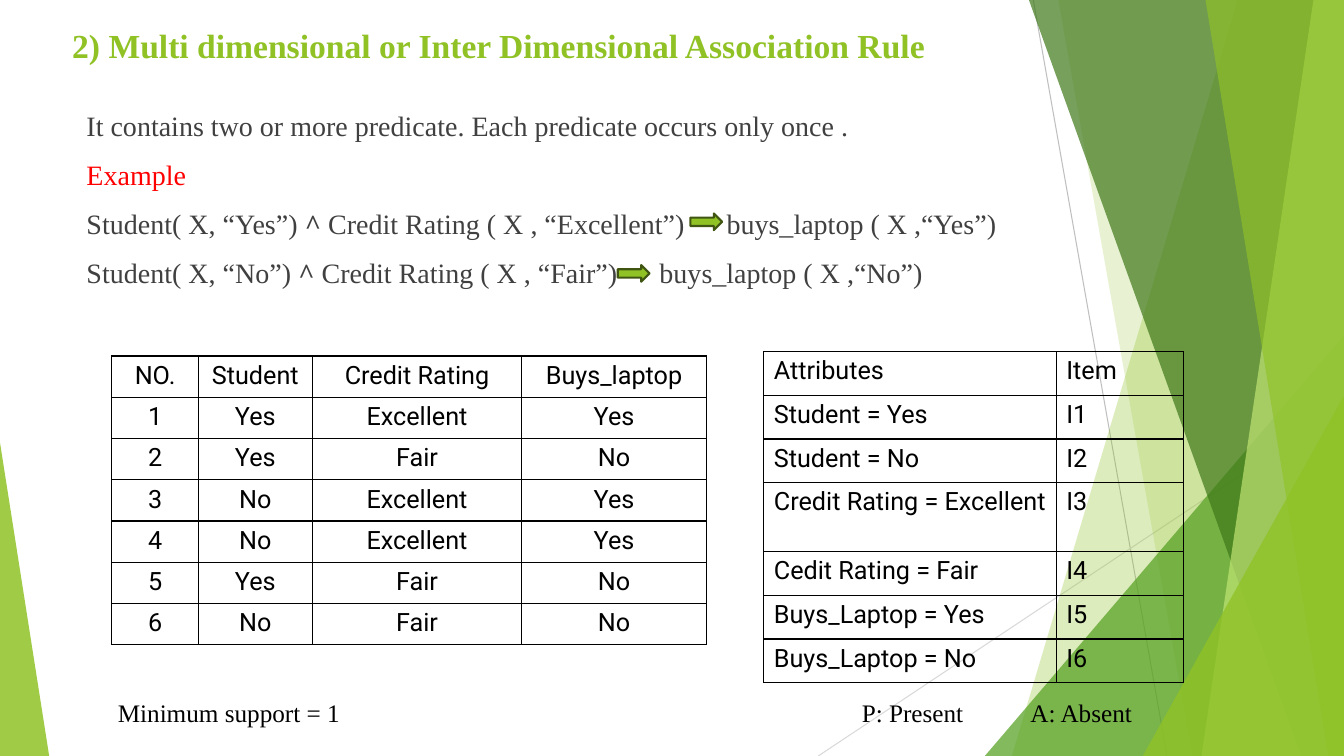
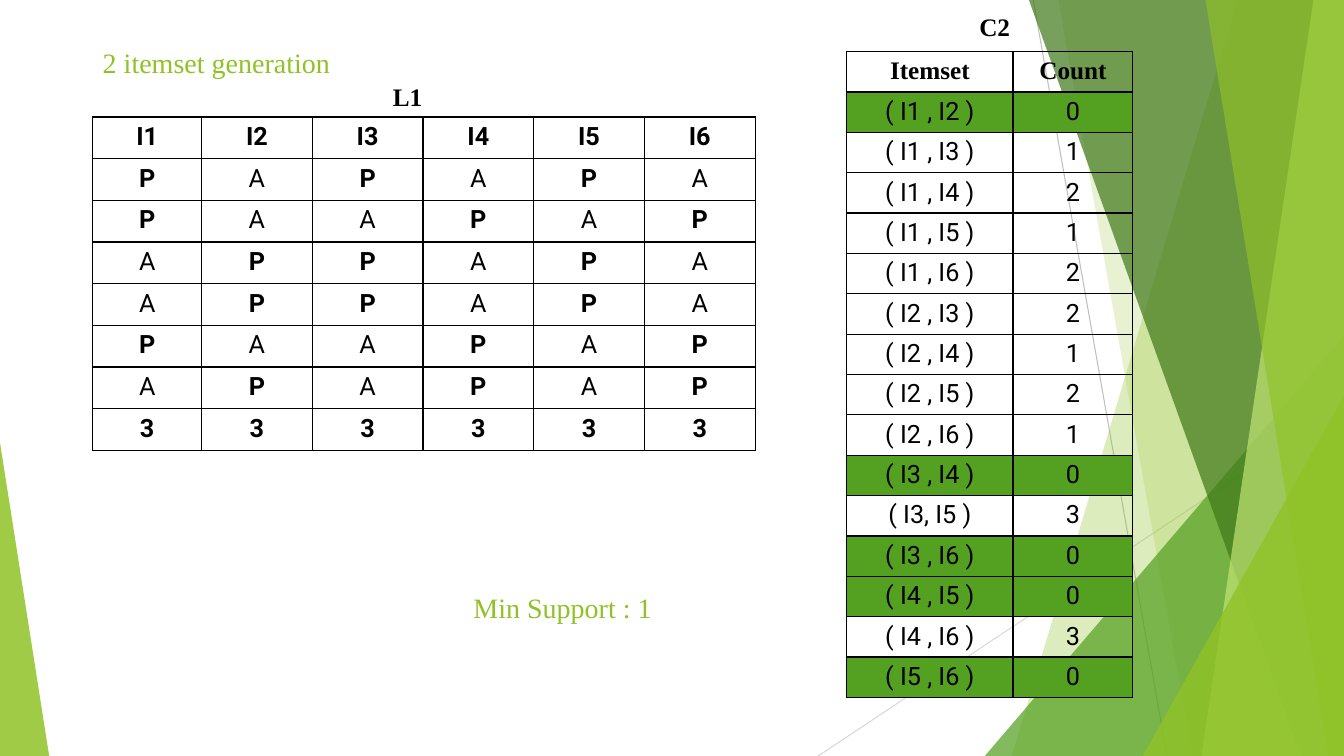
from lxml import etree
from pptx import Presentation
from pptx import util as u
from pptx.dml.color import RGBColor
from pptx.enum import shapes, text
from pptx.oxml import ns

Cm = u.Cm
WIDTH, HEIGHT = 33.87, 19.05
SERIF, SANS = "Times New Roman", "Roboto"
COLORS = {
    "black": "000000", "body": "404040", "red": "FF0000",
    "lime": "90C226", "green": "54A021", "forest": "3F7819",
    "pale": "C0E474", "olive": "3F5511",
    "gray": "BFBFBF", "silver": "D9D9D9",
}


def rgb(color):
    return RGBColor.from_string(COLORS[color])


def child(parent, tag, **attrs):
    return etree.SubElement(parent, ns.qn(tag), attrs)


class Deck:
    def __init__(self):
        self.prs = Presentation()
        self.prs.slide_width, self.prs.slide_height = Cm(WIDTH), Cm(HEIGHT)
        self.s = None

    def slide(self):
        """Start a slide with the green facets behind its content."""
        self.s = self.prs.slides.add_slide(self.prs.slide_layouts[6])
        self.line(26.04, 0, 29.41, HEIGHT, "gray")
        self.line(WIDTH, 10.24, 20.62, HEIGHT, "silver")
        self.band(31.19, 25.5, "lime", 30)
        self.band(26.67, 30.05, "lime", 20)
        self.triangle(24.82, 8.46, WIDTH, 1, "green", 72)
        self.band(25.93, 32.79, "forest", 70)
        self.band(33.1, 30.28, "pale", 70)
        self.band(30.38, 33.48, "lime", 65)
        self.triangle(28.8, 9.98, WIDTH, 1, "lime", 80)
        self.triangle(0, 11.15, 1.24, 0, "lime", 85)

    def line(self, x1, y1, x2, y2, color):
        c = self.s.shapes.add_connector(
            shapes.MSO_CONNECTOR.STRAIGHT, Cm(x1), Cm(y1), Cm(x2), Cm(y2))
        c.line.color.rgb = rgb(color)
        c.line.width = u.Pt(0.75)
        child(c._element.spPr, "a:effectLst")

    def paint(self, sp, color, opacity):
        sp.shadow.inherit = False
        sp.fill.solid()
        sp.fill.fore_color.rgb = rgb(color)
        sp.line.fill.background()
        fill = sp._element.spPr.find(ns.qn("a:solidFill"))
        child(fill[0], "a:alpha", val=str(opacity * 1000))

    def band(self, top_x, bottom_x, color, opacity):
        """Fill from a slanted left edge to the right side of the slide."""
        builder = self.s.shapes.build_freeform(Cm(top_x), 0)
        corners = [(WIDTH, 0), (WIDTH, HEIGHT), (bottom_x, HEIGHT)]
        builder.add_line_segments([(Cm(x), Cm(y)) for x, y in corners])
        self.paint(builder.convert_to_shape(), color, opacity)

    def triangle(self, left, top, right, apex, color, opacity):
        """Stand a triangle on the bottom edge of the slide."""
        sp = self.s.shapes.add_shape(
            shapes.MSO_SHAPE.ISOSCELES_TRIANGLE,
            Cm(left), Cm(top), Cm(right - left), Cm(HEIGHT - top))
        sp.adjustments[0] = apex
        self.paint(sp, color, opacity)

    def arrow(self, x, y):
        sp = self.s.shapes.add_shape(
            shapes.MSO_SHAPE.RIGHT_ARROW, Cm(x), Cm(y), Cm(0.8), Cm(0.42))
        sp.shadow.inherit = False
        sp.fill.solid()
        sp.fill.fore_color.rgb = rgb("lime")
        sp.line.color.rgb = rgb("olive")
        sp.line.width = u.Pt(1.5)

    def run(self, p, words, size=18, color="black", bold=False, name=SERIF):
        r = p.add_run()
        r.text = words
        style = {"name": name, "size": u.Pt(size), "bold": bold}
        for key, value in style.items():
            setattr(r.font, key, value)
        r.font.color.rgb = rgb(color)

    def text(self, x, y, w, h, paragraphs, tabs=(), gap=0, **style):
        """Write paragraphs, each a list of (words, style changes)."""
        tf = self.s.shapes.add_textbox(Cm(x), Cm(y), Cm(w), Cm(h)).text_frame
        tf.word_wrap = True
        for i, runs in enumerate(paragraphs):
            p = tf.paragraphs[0] if i == 0 else tf.add_paragraph()
            if i < len(tabs) and tabs[i]:
                stops = child(p._p.get_or_add_pPr(), "a:tabLst")
                for pos in tabs[i]:
                    child(stops, "a:tab", pos=str(Cm(pos)), algn="l")
            if i:
                p.space_before = u.Pt(gap)
            for words, changes in runs:
                self.run(p, words, **{**style, **changes})

    def label(self, x, y, w, h, words, **style):
        self.text(x, y, w, h, [[(words, {})]], **style)

    def title(self, x, y, w, h, words, **style):
        self.label(x, y, w, h, words, color="lime", **style)

    def table(self, x, y, cols, heights, rows, centered=True,
              style=lambda row, words: {}, fill=lambda cells: None):
        """Draw a ruled grid; style and fill are rules for cells and rows."""
        tb = self.s.shapes.add_table(
            len(rows), len(cols), Cm(x), Cm(y),
            Cm(sum(cols)), Cm(sum(heights))).table
        tb.first_row = tb.horz_banding = False
        for column, width in zip(tb.columns, cols):
            column.width = Cm(width)
        for i, (cells, height) in enumerate(zip(rows, heights)):
            tb.rows[i].height = Cm(height)
            for j, words in enumerate(cells):
                cell = tb.cell(i, j)
                self.borders(cell)
                if fill(cells):
                    cell.fill.solid()
                    cell.fill.fore_color.rgb = rgb(fill(cells))
                else:
                    cell.fill.background()
                p = cell.text_frame.paragraphs[0]
                if centered:
                    p.alignment = text.PP_ALIGN.CENTER
                else:
                    cell.margin_right = Cm(0.1)
                self.run(p, words, **{"name": SANS, **style(i, words)})

    def borders(self, cell):
        tcPr = cell._tc.get_or_add_tcPr()
        for side in "LRTB":
            ln = child(tcPr, f"a:ln{side}", w=str(u.Pt(1)))
            child(child(ln, "a:solidFill"), "a:srgbClr", val=COLORS["black"])


def rule_slide(deck):
    deck.slide()
    deck.title(1.57, 0.51, 28.8, 2.08,
               "2) Multi dimensional or Inter Dimensional Association Rule",
               size=24, bold=True)
    caret = (" ^ ", {"bold": True})
    deck.text(1.93, 2.62, 30.86, 5.03, [
        [("It contains two or more predicate. Each predicate occurs only once .", {})],
        [("Example", {"color": "red"})],
        [("Student( X, “Yes”)", {}), caret,
         ("Credit Rating ( X , “Excellent”)\tbuys_laptop ( X ,“Yes”)", {})],
        [("Student( X, “No”)", {}), caret,
         ("Credit Rating ( X , “Fair”)\tbuys_laptop ( X ,“No”)", {})],
    ], tabs=[(), (), (16.13,), (14.44,)], gap=11, size=20, color="body")
    deck.arrow(17.4, 5.38)
    deck.arrow(15.57, 6.68)
    deck.table(2.82, 8.97, [2.18, 2.87, 5.28, 4.65], [1.04] * 7, [
        ("NO.", "Student", "Credit Rating", "Buys_laptop"),
        ("1", "Yes", "Excellent", "Yes"),
        ("2", "Yes", "Fair", "No"),
        ("3", "No", "Excellent", "Yes"),
        ("4", "No", "Excellent", "Yes"),
        ("5", "Yes", "Fair", "No"),
        ("6", "No", "Fair", "No"),
    ])
    attributes = ["Student = Yes", "Student = No", "Credit Rating = Excellent",
                  "Cedit Rating = Fair", "Buys_Laptop = Yes", "Buys_Laptop = No"]
    items = [(name, f"I{n}") for n, name in enumerate(attributes, 1)]
    deck.table(19.25, 8.86, [7.37, 3.2], [1.1] * 3 + [1.74] + [1.1] * 3,
               [("Attributes", "Item")] + items, centered=False)
    deck.label(2.72, 17.45, 28.42, 1.02,
               "Minimum support = 1\tP: Present\tA: Absent", tabs=[(18.75, 23)])


def itemset_slide(deck):
    deck.slide()
    deck.title(2.34, 1.02, 29.21, 1.5, "2 itemset generation", size=20)
    presence = ["PAPAPA", "PAAPAP", "APPAPA", "APPAPA", "PAAPAP", "APAPAP", "333333"]
    deck.table(2.34, 2.95, [2.74] + [2.79] * 5, [1.05] * 8,
               [[f"I{n}" for n in range(1, 7)]] + presence,
               style=lambda row, words: {"bold": words != "A"})
    counts = [
        ("( I1 , I2 )", "0"), ("( I1 , I3 )", "1"), ("( I1 , I4 )", "2"),
        ("( I1 , I5 )", "1"), ("( I1 , I6 )", "2"), ("( I2 , I3 )", "2"),
        ("( I2 , I4 )", "1"), ("( I2 , I5 )", "2"), ("( I2 , I6 )", "1"),
        ("( I3 , I4 )", "0"), ("( I3, I5 )", "3"), ("( I3 , I6 )", "0"),
        ("( I4 , I5 )", "0"), ("( I4 , I6 )", "3"), ("( I5 , I6 )", "0"),
    ]
    deck.table(21.34, 1.3, [4.19, 3.02], [0.96] + [1] * len(counts),
               [("Itemset", "Count")] + counts,
               style=lambda row, words: {} if row else {"name": SERIF, "bold": True},
               fill=lambda cells: "green" if cells[1] == "0" else None)
    deck.label(9.65, 1.93, 2.06, 1.02, "L1", bold=True)
    deck.label(24.43, 0.15, 2.06, 1.02, "C2", bold=True)
    deck.title(11.68, 14.76, 8.79, 1.5, "Min Support : 1", size=20)


def main():
    deck = Deck()
    rule_slide(deck)
    itemset_slide(deck)
    deck.prs.save("out.pptx")


if __name__ == "__main__":
    main()
